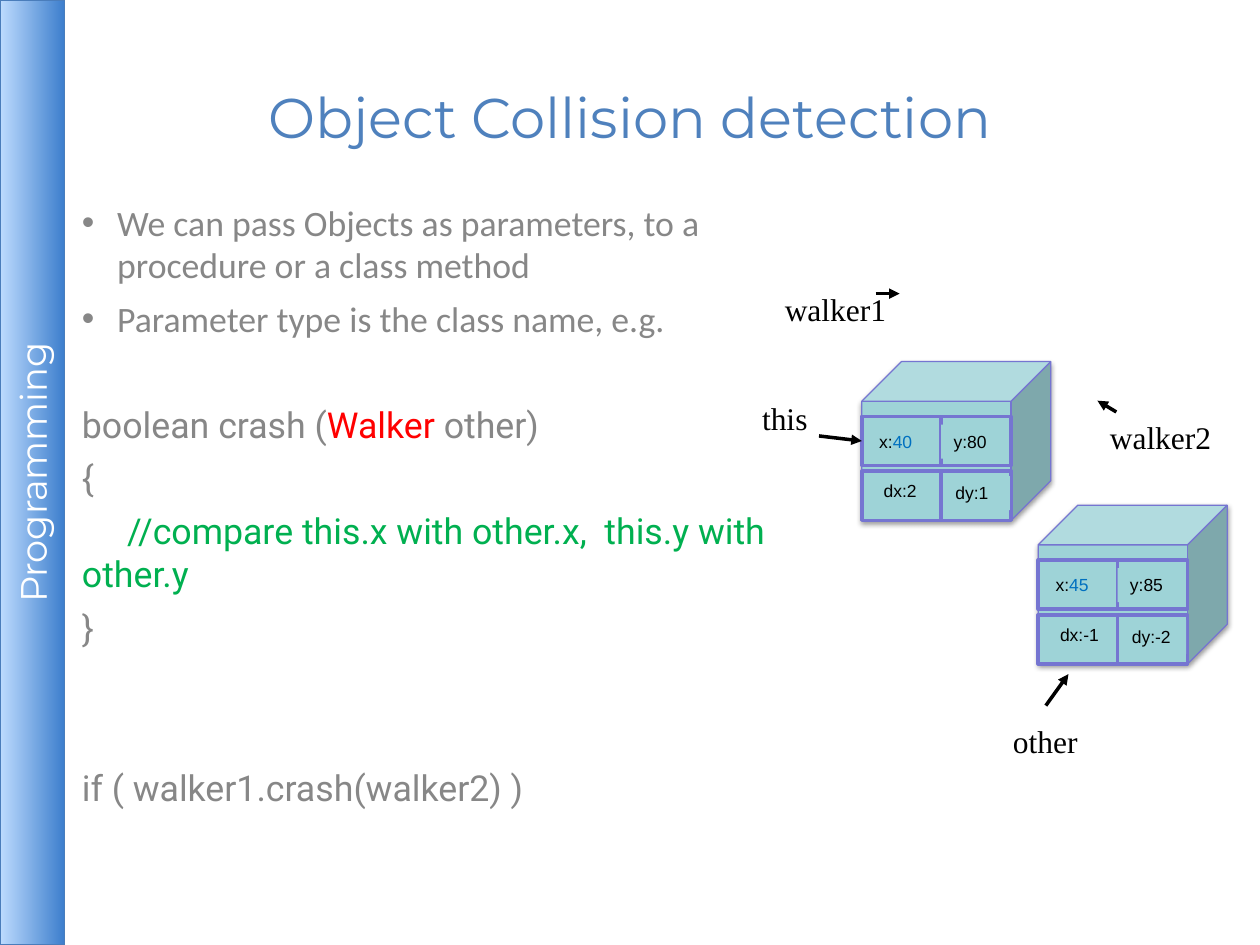
from lxml import etree
from pptx import Presentation, util as u
from pptx.dml import color
from pptx.enum import shapes, text
from pptx.oxml import ns

# The page is a grid of 100 columns by 75 rows; every length counts cells.
COLUMNS, ROWS = 100, 75
CELL = u.Inches(0.1)

BLACK, WHITE, GREY = "000000", "FFFFFF", "878787"
TEAL, VIOLET, BLUE = "9ED3D7", "7575D1", "4F81BD"
RED, GREEN, VALUE_BLUE = "FF0000", "00B050", "0070C0"


def cells(*counts):
    return [round(count * CELL) for count in counts]


def rgb(value):
    return color.RGBColor.from_string(value)


def add_xml(parent, tag, **attributes):
    return etree.SubElement(parent, ns.qn(tag), {key: str(value) for key, value in attributes.items()})


def add_shadow(shape, alpha, blur, distance):
    """Cast a black shadow straight down; alpha in percent, lengths in points."""
    shape.shadow.inherit = False
    effects = shape._element.spPr.find(ns.qn("a:effectLst"))
    outer = add_xml(effects, "a:outerShdw", blurRad=u.Pt(blur), dist=u.Pt(distance), dir=90 * 60000, rotWithShape=0)
    tint = add_xml(outer, "a:srgbClr", val=BLACK)
    add_xml(tint, "a:alpha", val=alpha * 1000)


def add_block(page, kind, box, fill=TEAL, line=VIOLET, weight=0.75):
    shape = page.shapes.add_shape(kind, *cells(*box))
    shape.shadow.inherit = False
    if fill:
        shape.fill.solid()
        shape.fill.fore_color.rgb = rgb(fill)
    shape.line.color.rgb = rgb(line)
    shape.line.width = u.Pt(weight)
    return shape


def set_frame(shape, insets, anchor=text.MSO_ANCHOR.TOP):
    """Wrap the text; insets are left, top, right, bottom in cells."""
    frame = shape.text_frame
    frame.word_wrap = True
    frame.vertical_anchor = anchor
    frame.margin_left, frame.margin_top, frame.margin_right, frame.margin_bottom = cells(*insets)
    return frame


def write(para, wording, font="Calibri", size=20.4, ink=GREY):
    span = para.add_run()
    span.text = wording
    span.font.name = font
    span.font.size = u.Pt(size)
    span.font.color.rgb = rgb(ink)


def add_label(page, box, *parts, fill=None, **style):
    """Place a small text; parts are (wording, ink) pairs."""
    label = page.shapes.add_textbox(*cells(*box))
    if fill:
        label.fill.solid()
        label.fill.fore_color.rgb = rgb(fill)
    para = set_frame(label, (1, 0.5, 0, 0.5)).paragraphs[0]
    for wording, ink in parts:
        write(para, wording, ink=ink, **style)


def add_name(page, box, wording):
    add_label(page, box, (wording, BLACK), font="Times New Roman", size=18)


def add_arrow(page, start, end):
    arrow = page.shapes.add_connector(shapes.MSO_CONNECTOR.STRAIGHT, *cells(*start, *end))
    arrow.line.color.rgb = rgb(BLACK)
    arrow.line.width = u.Pt(2)
    add_xml(arrow.line._get_or_add_ln(), "a:tailEnd", type="triangle")
    add_xml(arrow._element.spPr, "a:effectLst")


def add_sidebar(page, box):
    """Fill an upright band, with its text turned to read upwards."""
    left, top, width, height = box
    turned = (left + (width - height) / 2, top + (height - width) / 2, height, width)
    band = add_block(page, shapes.MSO_SHAPE.RECTANGLE, turned, fill=None, line="4A7DBB")
    band.rotation = 270
    band.fill.gradient()
    band.fill.gradient_angle = 270
    for stop, shade in zip(band.fill.gradient_stops, ("BDDBFE", "3E7FCD")):
        stop.color.rgb = rgb(shade)
    add_shadow(band, 35, 0, 1.8)
    para = set_frame(band, [0.4] * 4, text.MSO_ANCHOR.MIDDLE).paragraphs[0]
    para.alignment = text.PP_ALIGN.CENTER
    write(para, "Programming", font="Montserrat", size=21, ink=WHITE)


def add_title(page, box):
    title = page.shapes.add_textbox(*cells(*box))
    para = set_frame(title, [0.4] * 4, text.MSO_ANCHOR.MIDDLE).paragraphs[0]
    para.alignment = text.PP_ALIGN.CENTER
    write(para, "Object Collision detection", font="Montserrat", size=32, ink=BLUE)


def add_body(page, box):
    body = page.shapes.add_textbox(*cells(*box))
    frame = set_frame(body, [0.4] * 4)
    bullets = ["We can pass Objects as parameters, to a procedure or a class method",
               "Parameter type is the class name, e.g."]
    # Each code line: space before, first-line indent in cells, coloured parts.
    code = [
        (36, 0, [("boolean crash (", GREY), ("Walker", RED), (" other)", GREY)]),
        (6, 0, [("{", GREY)]),
        (6, 3.6, [("//compare this.x with other.x,  this.y with other.y", GREEN)]),
        (6, 0, [("}", GREY)]),
        (67, 0, [("if ( walker1.crash(walker2) )", GREY)]),
    ]
    for index, wording in enumerate(bullets):
        para = frame.add_paragraph() if index else frame.paragraphs[0]
        hang, = cells(2.8)
        settings = para._p.get_or_add_pPr()
        settings.set("marL", str(hang))
        settings.set("indent", str(-hang))
        add_xml(settings, "a:buFont", typeface="Arial")
        add_xml(settings, "a:buChar", char="•")
        if index:
            para.space_before = u.Pt(6)
        write(para, wording)
    for gap, indent, parts in code:
        para = frame.add_paragraph()
        para._p.get_or_add_pPr().set("indent", str(cells(indent)[0]))
        para.space_before = u.Pt(gap)
        for wording, ink in parts:
            write(para, wording, font="Roboto", ink=ink)


def add_walker(page, box, x, y, dx, dy):
    """Draw one object as a cube whose front shows its four fields."""
    left, top, width, height = box
    cube = add_block(page, shapes.MSO_SHAPE.CUBE, box)
    add_shadow(cube, 38, 3.1, 1.6)
    columns = [(0, 0.42 * width), (0.42 * width, 0.37 * width)]
    for row in (0.69, 0.345):
        for offset, span in columns:
            add_block(page, shapes.MSO_SHAPE.RECTANGLE,
                      (left + offset, top + row * height, span, 0.31 * height), weight=2)
    fields = [
        (0.4, 5, [("x:", BLACK), (x, VALUE_BLUE)]),
        (6.3, 5, [("y:" + y, BLACK)]),
        (0.75, 8.9, [("dx:" + dx, BLACK)]),
        (6.45, 9.1, [("dy:" + dy, BLACK)]),
    ]
    for across, down, parts in fields:
        add_label(page, (left + across, top + down, 5.3, 2.7), *parts, fill=TEAL, font="Arial", size=10)


def main():
    deck = Presentation()
    deck.slide_width, deck.slide_height = cells(COLUMNS, ROWS)
    page = deck.slides.add_slide(deck.slide_layouts[6])
    add_sidebar(page, (0, 0, 5.1, ROWS))
    add_title(page, (5, 3, 90, 12.5))
    add_body(page, (6.1, 15.5, 60.2, 42.5))

    add_name(page, (61.3, 22.5, 10.2, 4), "walker1")
    add_name(page, (87.1, 32.7, 10.2, 4), "walker2")
    add_arrow(page, (69.5, 23.3), (71.4, 23.3))
    add_arrow(page, (88.6, 32.7), (87.1, 31.8))

    add_walker(page, (68.4, 28.7, 15, 12.6), x="40", y="80", dx="2", dy="1")
    add_name(page, (59.5, 31.2, 5.7, 4), "this")
    add_arrow(page, (65, 34.6), (68.4, 35))

    add_walker(page, (82.4, 40.1, 15, 12.6), x="45", y="85", dx="-1", dy="-2")
    add_name(page, (79.4, 56.8, 7.2, 4), "other")
    add_arrow(page, (83, 56), (84.8, 53.5))
    deck.save("out.pptx")


if __name__ == "__main__":
    main()
